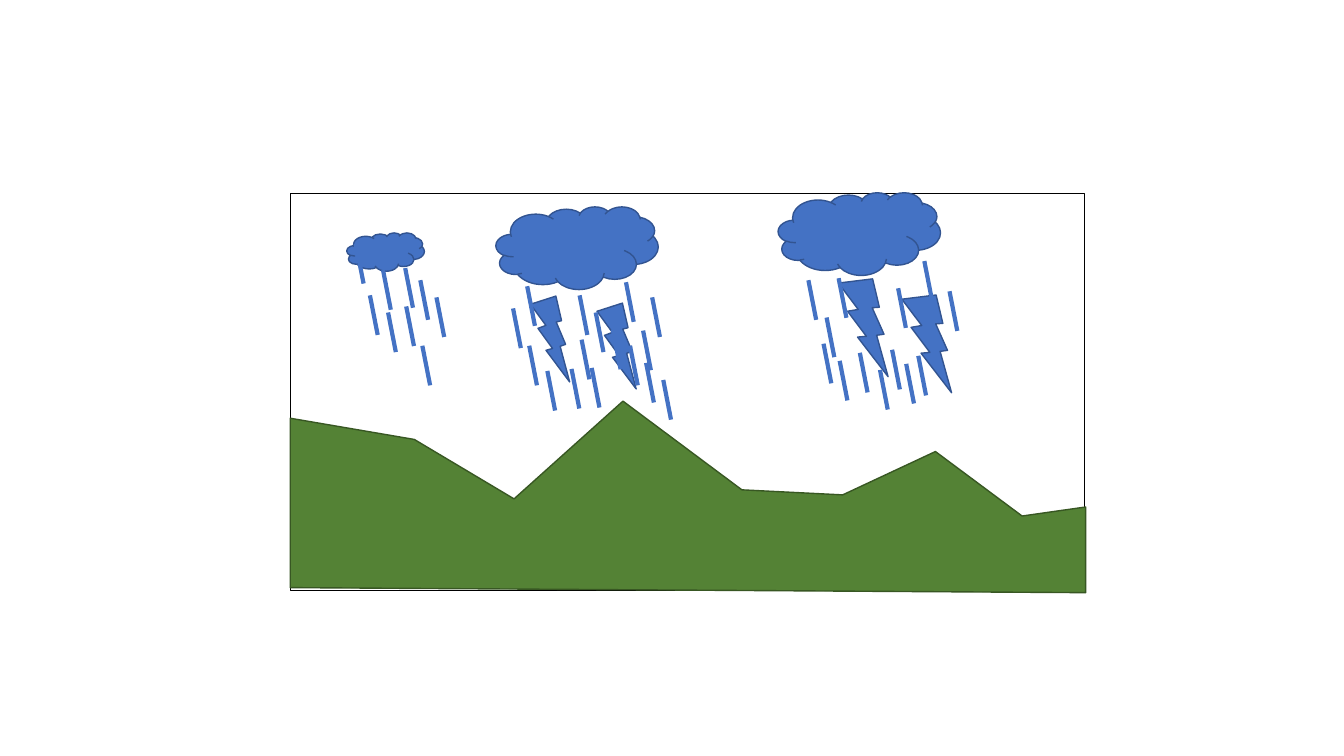
from dataclasses import dataclass

from lxml import etree
from pptx import Presentation
from pptx import util as u
from pptx.dml.color import RGBColor
from pptx.enum.shapes import MSO_CONNECTOR, MSO_SHAPE
from pptx.oxml.ns import qn
from pptx.shapes.autoshape import Shape
from pptx.shapes.shapetree import GroupShapes

# The grid has ten columns and ten rows to the inch.
CELL = u.Inches(0.1)
COLUMNS, ROWS = 133.33, 75

COLORS = {
    "sky": "FFFFFF",
    "frame": "000000",
    "hill": "548235",
    "hill_edge": "385723",
    "storm": "4472C4",
    "storm_edge": "325491",
}

RIDGE = [(28.8, 41.5), (41.1, 43.6), (51, 49.5), (61.8, 39.8), (73.6, 48.6),
         (83.6, 49.1), (92.8, 44.8), (101.4, 51.2), (107.7, 50.3)]
HILL_FOOT = [(107.7, 58.8), (28.8, 58.3)]


@dataclass(frozen=True)
class Preset:
    kind: MSO_SHAPE
    col: float
    row: float
    cols: float
    rows: float
    fill: str = "storm"
    edge: str = "storm_edge"
    turn: float = 0


@dataclass(frozen=True)
class Shower:
    """Raindrops of one cloud, each given by its upper end."""
    drops: tuple[tuple[float, float], ...]
    drift: float = 0.77
    fall: float = 3.93


SKY = Preset(MSO_SHAPE.RECTANGLE, 28.8, 19.2, 78.8, 39.4, "sky", "frame")
CLOUDS = [
    Preset(MSO_SHAPE.CLOUD, 49.2, 20.5, 16.1, 8.2),
    Preset(MSO_SHAPE.CLOUD, 34.4, 23.1, 7.7, 3.8),
    Preset(MSO_SHAPE.CLOUD, 77.2, 19.1, 16.1, 8.2),
]
BOLTS = [
    Preset(MSO_SHAPE.LIGHTNING_BOLT, 82, 27.7, 7.8, 8.6, turn=19.9),
    Preset(MSO_SHAPE.LIGHTNING_BOLT, 58.5, 30.1, 5.7, 7.9, turn=14.6),
    Preset(MSO_SHAPE.LIGHTNING_BOLT, 51.9, 29.4, 5.7, 7.9, turn=14.6),
    Preset(MSO_SHAPE.LIGHTNING_BOLT, 88.3, 29.3, 7.8, 8.6, turn=19.9),
]
SHOWERS = [
    Shower(((80.2, 27.8), (82, 31.5), (81.7, 34.1), (83.3, 35.8), (87.3, 36.7),
            (89.1, 28.6), (88.5, 34.7), (85.3, 35), (91.1, 35.3), (94.2, 28.9),
            (91.7, 25.9), (89.9, 36.1), (83.2, 27.6))),
    Shower(((57.5, 29.3), (59.1, 31), (60.8, 32.7), (62.5, 34.3), (62.1, 28),
            (63.8, 32.8), (64.7, 29.5), (52.3, 28.4), (50.9, 30.6), (64.1, 36),
            (57.7, 33.7), (54.3, 36.8), (52.5, 34.3), (58.7, 36.5), (56.7, 36.6),
            (65.8, 37.7))),
    Shower(((38, 26.8), (41.7, 27.8), (43.3, 29.5), (40.3, 30.4), (36.7, 29.3),
            (38.5, 31), (40.2, 26.6), (41.9, 34.3), (35.3, 24.2))),
]


def cells(count: float) -> u.Emu:
    return u.Emu(round(count * CELL))


def rgb(name: str) -> RGBColor:
    return RGBColor.from_string(COLORS[name])


def paint(outline: Shape, fill: str, edge: str) -> None:
    outline.shadow.inherit = False
    outline.fill.solid()
    outline.fill.fore_color.rgb = rgb(fill)
    outline.line.color.rgb = rgb(edge)
    outline.line.width = u.Pt(1)


def draw_preset(scene: GroupShapes, part: Preset) -> None:
    preset = scene.add_shape(part.kind, cells(part.col), cells(part.row),
                             cells(part.cols), cells(part.rows))
    preset.rotation = part.turn
    paint(preset, part.fill, part.edge)


def draw_hills(scene: GroupShapes) -> None:
    start, *corners = [(cells(col), cells(row)) for col, row in RIDGE + HILL_FOOT]
    builder = scene.build_freeform(*start)
    builder.add_line_segments(corners, close=True)
    paint(builder.convert_to_shape(), "hill", "hill_edge")


def draw_shower(scene: GroupShapes, shower: Shower) -> None:
    for col, row in shower.drops:
        drop = scene.add_connector(MSO_CONNECTOR.STRAIGHT, cells(col), cells(row),
                                   cells(col + shower.drift), cells(row + shower.fall))
        drop.line.color.rgb = rgb("storm")
        drop.line.width = u.Pt(3)
        etree.SubElement(drop._element.spPr, qn("a:effectLst"))


def main() -> None:
    deck = Presentation()
    deck.slide_width, deck.slide_height = cells(COLUMNS), cells(ROWS)
    blank_layout = deck.slide_layouts[6]
    slide = deck.slides.add_slide(blank_layout)
    scene = slide.shapes.add_group_shape().shapes
    draw_preset(scene, SKY)
    draw_hills(scene)
    for part in CLOUDS + BOLTS:
        draw_preset(scene, part)
    for shower in SHOWERS:
        draw_shower(scene, shower)
    deck.save("out.pptx")


if __name__ == "__main__":
    main()
